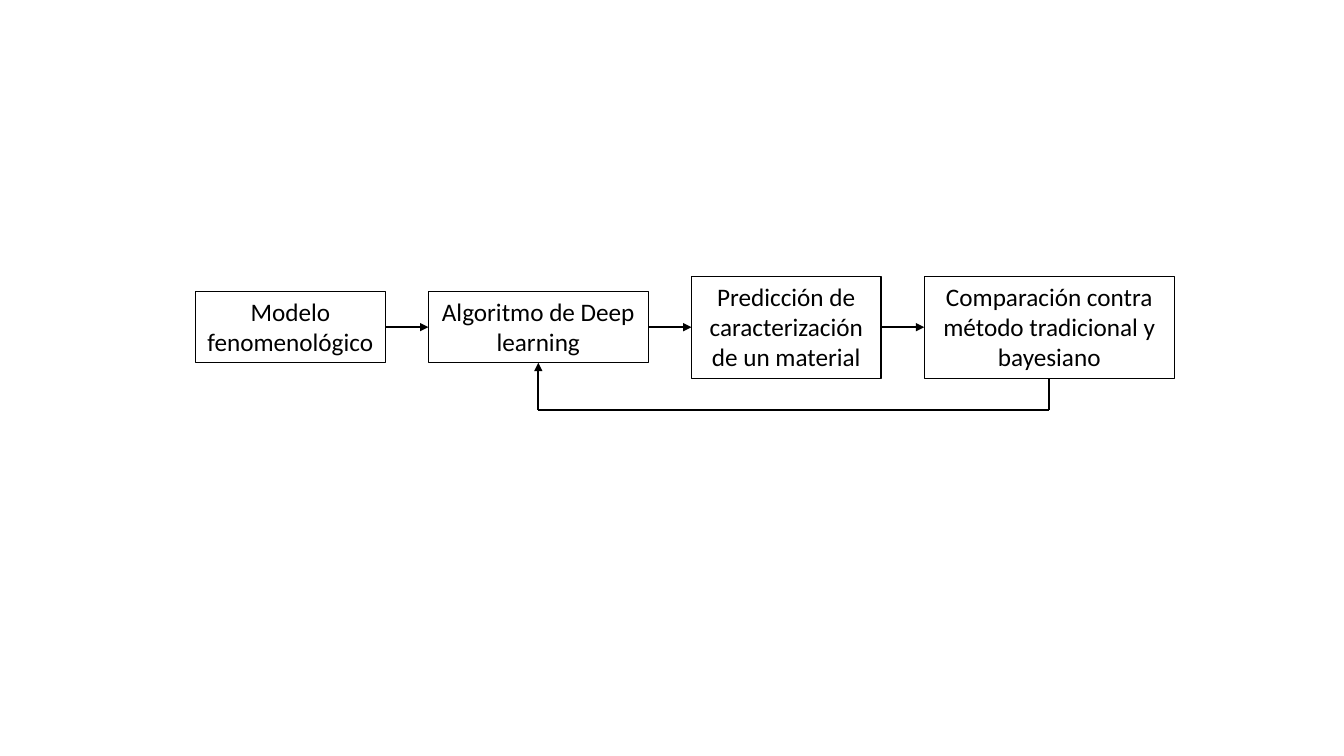
from lxml.etree import SubElement
from pptx import Presentation
from pptx.dml.color import RGBColor
from pptx.enum.shapes import MSO_CONNECTOR, MSO_SHAPE
from pptx.enum.text import MSO_ANCHOR, MSO_AUTO_SIZE, PP_ALIGN
from pptx.oxml.ns import qn
from pptx.util import Pt

BLACK = RGBColor(0, 0, 0)
FONT = {"name": "Calibri", "size": Pt(18)}
FRAME = {
    "word_wrap": True,
    "auto_size": MSO_AUTO_SIZE.SHAPE_TO_FIT_TEXT,
    "vertical_anchor": MSO_ANCHOR.TOP,
    "margin_left": Pt(7.2),
    "margin_right": Pt(7.2),
    "margin_top": Pt(3.6),
    "margin_bottom": Pt(3.6),
}

# Text, width and height of each step, in points
STEPS = [
    ("Modelo fenomenológico", 135.4, 50.9),
    ("Algoritmo de Deep learning", 157, 50.9),
    ("Predicción de caracterización de un material", 135.4, 72.7),
    ("Comparación contra método tradicional y bayesiano", 178.6, 72.7),
]
STEP_GAP = 30.9
RETURN_DROP = 59.3


def set_attributes(target, values):
    for name, value in values.items():
        setattr(target, name, value)


def add_step(slide, text, left, top, width, height):
    shape = slide.shapes.add_shape(
        MSO_SHAPE.RECTANGLE, Pt(left), Pt(top), Pt(width), Pt(height))
    shape.shadow.inherit = False
    shape.fill.background()
    shape.line.color.rgb = BLACK
    shape.line.width = Pt(0.75)
    set_attributes(shape.text_frame, FRAME)
    paragraph = shape.text_frame.paragraphs[0]
    paragraph.text = text
    paragraph.alignment = PP_ALIGN.CENTER
    set_attributes(paragraph.font, FONT)
    paragraph.font.color.rgb = BLACK


def add_line(slide, start, end, arrow=True):
    connector = slide.shapes.add_connector(
        MSO_CONNECTOR.STRAIGHT, *(Pt(value) for value in (*start, *end)))
    connector.line.color.rgb = BLACK
    connector.line.width = Pt(1.5)
    if arrow:
        SubElement(connector.line._get_or_add_ln(), qn("a:tailEnd"), type="triangle")
    SubElement(connector._element.spPr, qn("a:effectLst"))


def add_process(slide, left, middle):
    """Draws the steps in a row, centred on the height given by middle."""
    # Steps and the arrows between them
    bottoms = []
    for index, (text, width, height) in enumerate(STEPS):
        add_step(slide, text, left, middle - height / 2, width, height)
        if index:
            add_line(slide, (left - STEP_GAP, middle), (left, middle))
        bottoms.append((left + width / 2, middle + height / 2))
        left += width + STEP_GAP

    # Return path from the comparison to the algorithm
    algorithm, comparison = bottoms[1], bottoms[-1]
    return_y = middle + RETURN_DROP
    left_corner = (algorithm[0], return_y)
    right_corner = (comparison[0], return_y)
    add_line(slide, left_corner, algorithm)
    add_line(slide, left_corner, right_corner, arrow=False)
    add_line(slide, comparison, right_corner, arrow=False)


def main():
    presentation = Presentation()
    presentation.slide_width = Pt(960)
    presentation.slide_height = Pt(540)
    slide = presentation.slides.add_slide(presentation.slide_layouts[6])
    add_process(slide, left=139.7, middle=233.7)
    presentation.save("out.pptx")


if __name__ == "__main__":
    main()
